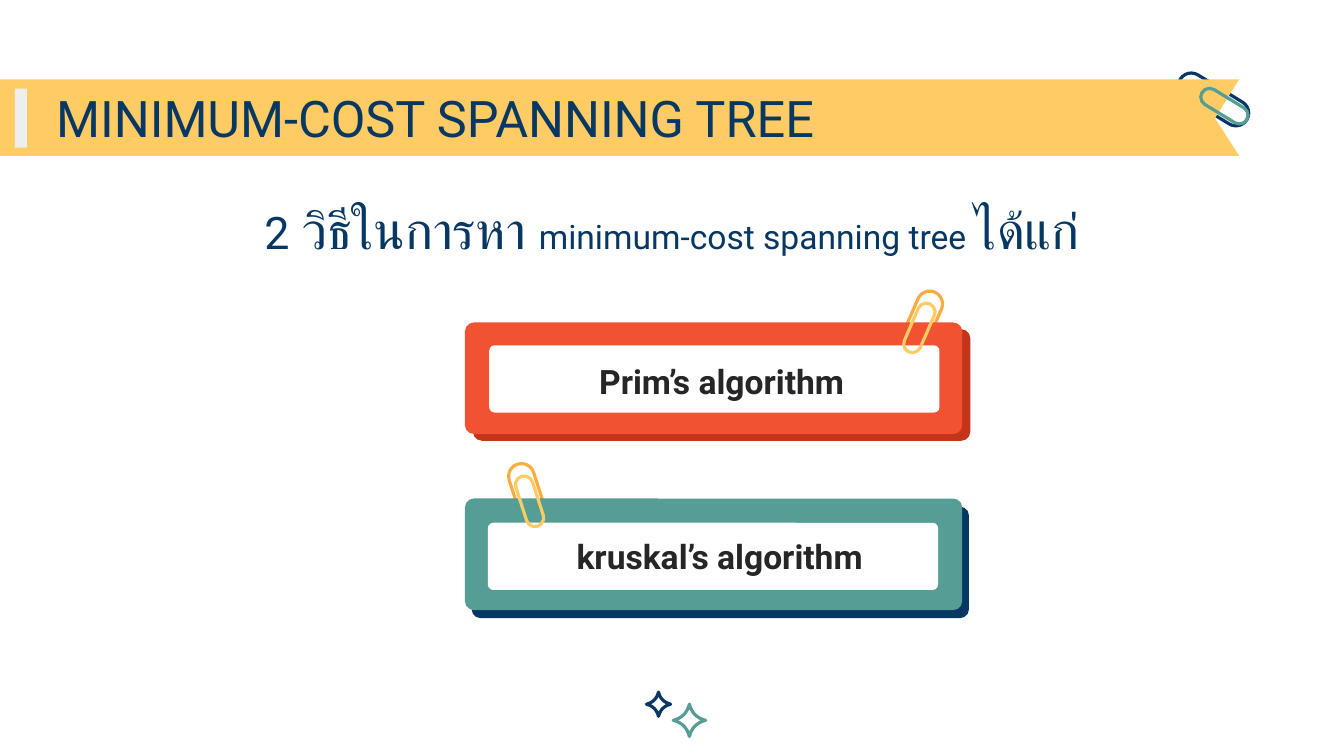
"""Build a slide naming the two minimum-cost spanning tree algorithms."""
from pptx import Presentation
from pptx.dml.color import RGBColor
from pptx.enum.shapes import MSO_SHAPE
from pptx.enum.text import PP_ALIGN
from pptx.util import Inches, Pt

CENTER, LEFT = PP_ALIGN.CENTER, PP_ALIGN.LEFT
ROUNDED, RECTANGLE = MSO_SHAPE.ROUNDED_RECTANGLE, MSO_SHAPE.RECTANGLE
FONT = "Roboto"
NAVY, TEAL, YELLOW, ORANGE = "073763", "569D96", "FFCB65", "FFAB40"
RED, DARK_RED, GRAY, WHITE, INK = "F15232", "C4341A", "EEEEEE", "FFFFFF", "262626"

TITLE = [("MINIMUM-COST SPANNING TREE", 27)]
SUBTITLE = [("2", 24), (" วิธีในการหา ", 28), ("minimum-cost spanning tree ", 18), ("ได้แก่", 28)]
BANNER = [(0, 0.59), (0, 1.16), (9.22, 1.16), (9.04, 0.88), (9.22, 0.59)]
CARDS = [
    {"text": "Prim’s algorithm", "top": 2.4, "fill": RED, "shadow": DARK_RED,
     "shadow_offset": (0.06, 0.05), "panel_offset": (0.18, 0.17),
     "text_box": (4.04, 2.59, 2.66, 0.44), "clip": (6.84, 2.44, 113.5)},
    {"text": "kruskal’s algorithm", "top": 3.71, "fill": TEAL, "shadow": NAVY,
     "shadow_offset": (0.05, 0.06), "panel_offset": (0.17, 0.18),
     "text_box": (3.78, 3.89, 3.15, 0.44), "clip": (3.94, 3.73, 72)},
]
CARD_LEFT, CARD_SIZE, PANEL_SIZE = 3.46, (3.7, 0.83), (3.35, 0.5)
LARGE_CLIP, SMALL_CLIP = (0.58, 0.19), (0.39, 0.13)
SPARKLES = [(5.13, 5.36, 0.12, TEAL), (4.9, 5.24, 0.09, NAVY)]
LINE_WIDTH, CURVE_STEPS = 1.7, 8


def color(value):
    return RGBColor.from_string(value)


def paint(shape, fill=None, line=None):
    shape.shadow.inherit = False
    if fill:
        shape.fill.solid()
        shape.fill.fore_color.rgb = color(fill)
    else:
        shape.fill.background()
    if line:
        shape.line.color.rgb = color(line)
        shape.line.width = Pt(LINE_WIDTH)
    else:
        shape.line.fill.background()


def add_box(slide, kind, box, fill=None, line=None, roundness=None):
    shape = slide.shapes.add_shape(kind, *map(Inches, box))
    if roundness is not None:
        shape.adjustments[0] = roundness
    paint(shape, fill, line)
    return shape


def add_polygon(slide, points, fill=None, line=None):
    corners = [(Inches(x), Inches(y)) for x, y in points]
    builder = slide.shapes.build_freeform(*corners[0])
    builder.add_line_segments(corners[1:], close=True)
    paint(builder.convert_to_shape(), fill, line)


def add_clip(slide, clip, size, line):
    x, y, angle = clip
    width, height = size
    box = (x - width / 2, y - height / 2, width, height)
    add_box(slide, ROUNDED, box, line=line, roundness=0.5).rotation = angle


def add_sparkle(slide, x, y, radius, line):
    tips = [(0, -1), (1, 0), (0, 1), (-1, 0)]
    points = []
    for start, end in zip(tips, tips[1:] + tips[:1]):
        for step in range(CURVE_STEPS):
            t = step / CURVE_STEPS
            pull = 0.4 * t * (1 - t)
            points.append(tuple(
                middle + radius * ((1 - t) ** 2 * a + t ** 2 * b + pull * (a + b))
                for middle, a, b in zip((x, y), start, end)))
    add_polygon(slide, points, line=line)


def add_text(slide, box, runs, ink=NAVY, align=CENTER, bold=False, spacing=1.0):
    frame = slide.shapes.add_textbox(*map(Inches, box)).text_frame
    frame.word_wrap = True
    paragraph = frame.paragraphs[0]
    paragraph.alignment, paragraph.line_spacing = align, spacing
    paragraph.font.name, paragraph.font.bold = FONT, bold
    paragraph.font.color.rgb = color(ink)
    for text, size in runs:
        run = paragraph.add_run()
        run.text, run.font.size = text, Pt(size)


def add_card(slide, card):
    add_clip(slide, card["clip"], LARGE_CLIP, ORANGE)
    layers = [
        (card["shadow_offset"], CARD_SIZE, card["shadow"]),
        ((0, 0), CARD_SIZE, card["fill"]),
        (card["panel_offset"], PANEL_SIZE, WHITE),
    ]
    for (right, down), size, fill in layers:
        box = (CARD_LEFT + right, card["top"] + down, *size)
        add_box(slide, ROUNDED, box, fill, roundness=0.08)
    add_text(slide, card["text_box"], [(card["text"], 18)], INK, bold=True, spacing=1.15)
    add_clip(slide, card["clip"], SMALL_CLIP, YELLOW)


def main():
    presentation = Presentation()
    presentation.slide_width = Inches(10)
    presentation.slide_height = presentation.slide_width * 9 // 16
    slide = presentation.slides.add_slide(presentation.slide_layouts[6])
    add_clip(slide, (9.03, 0.74, 31.4), LARGE_CLIP, NAVY)
    add_polygon(slide, BANNER, YELLOW)
    add_box(slide, RECTANGLE, (0.11, 0.66, 0.09, 0.44), GRAY)
    add_clip(slide, (9.11, 0.79, 31.4), SMALL_CLIP, TEAL)
    for sparkle in SPARKLES:
        add_sparkle(slide, *sparkle)
    add_text(slide, (0.32, 0.6, 6.71, 0.56), TITLE, align=LEFT)
    add_text(slide, (1.29, 1.42, 7.42, 0.57), SUBTITLE)
    for card in CARDS:
        add_card(slide, card)
    presentation.save("out.pptx")


if __name__ == "__main__":
    main()
